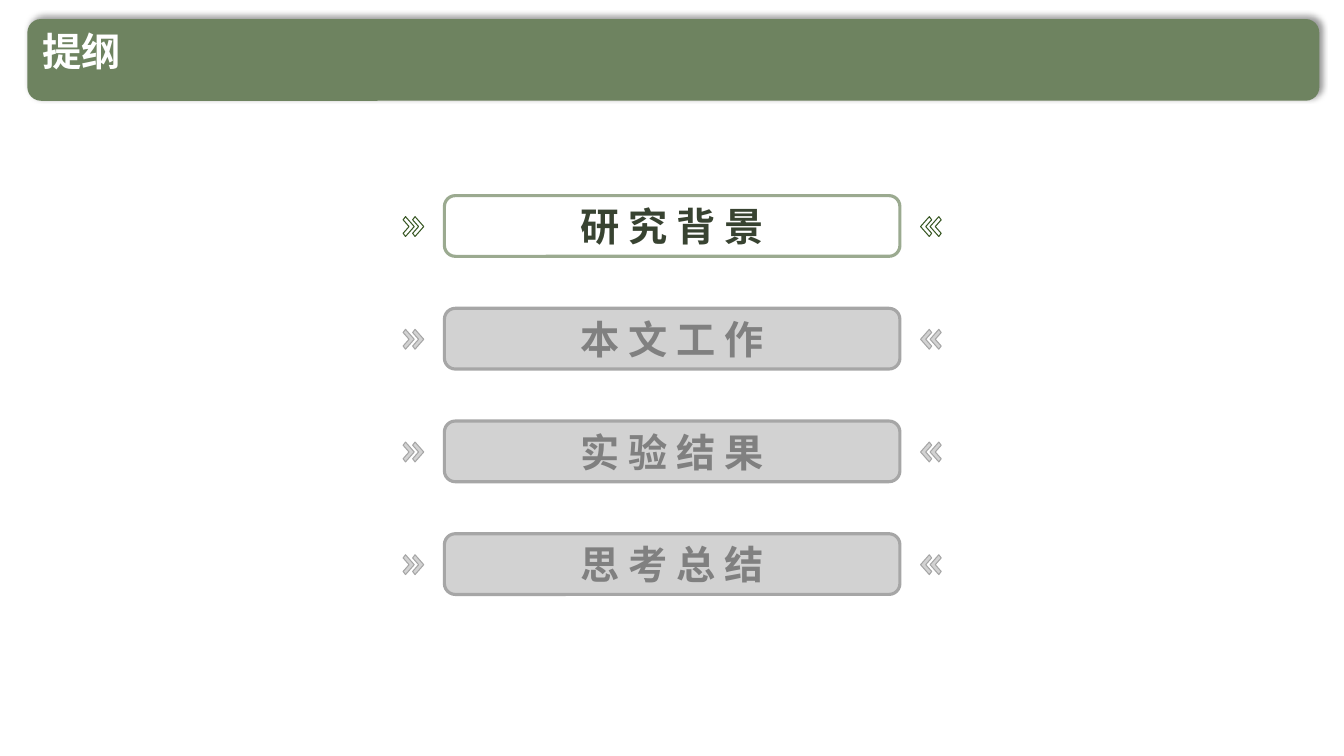
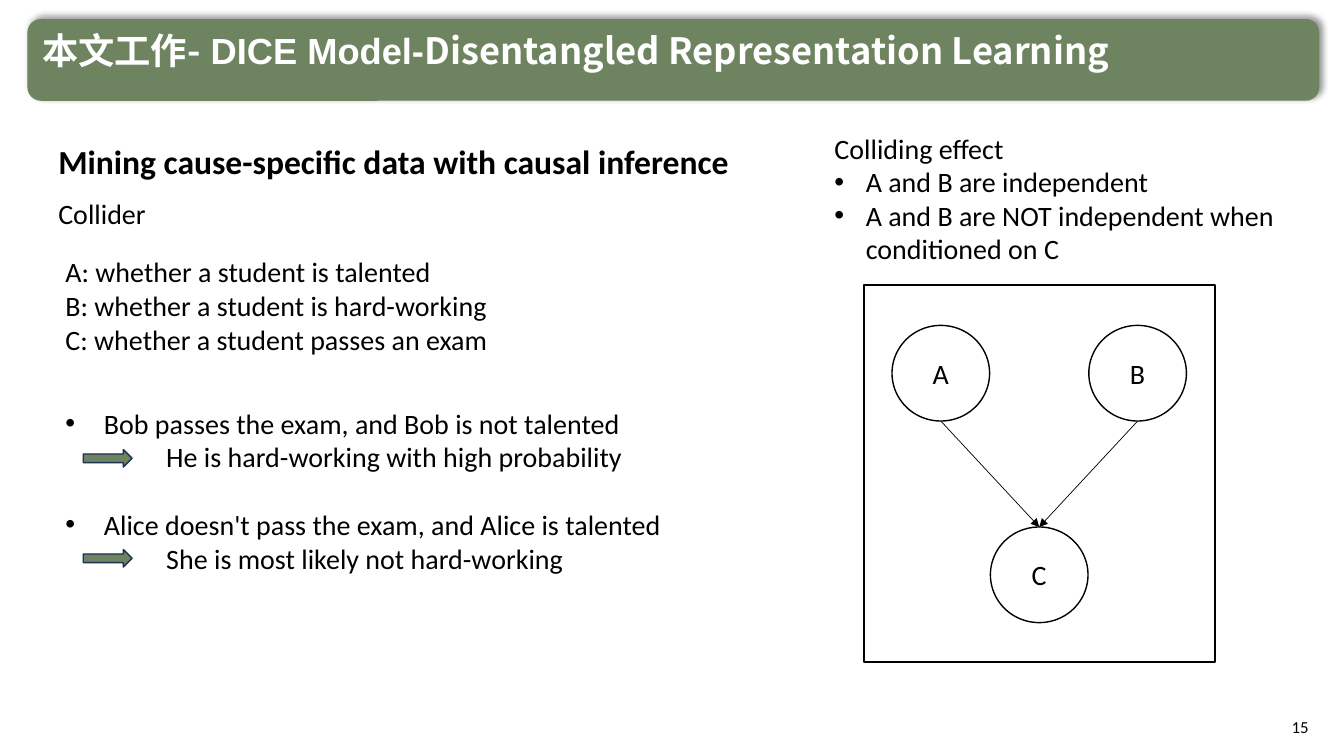
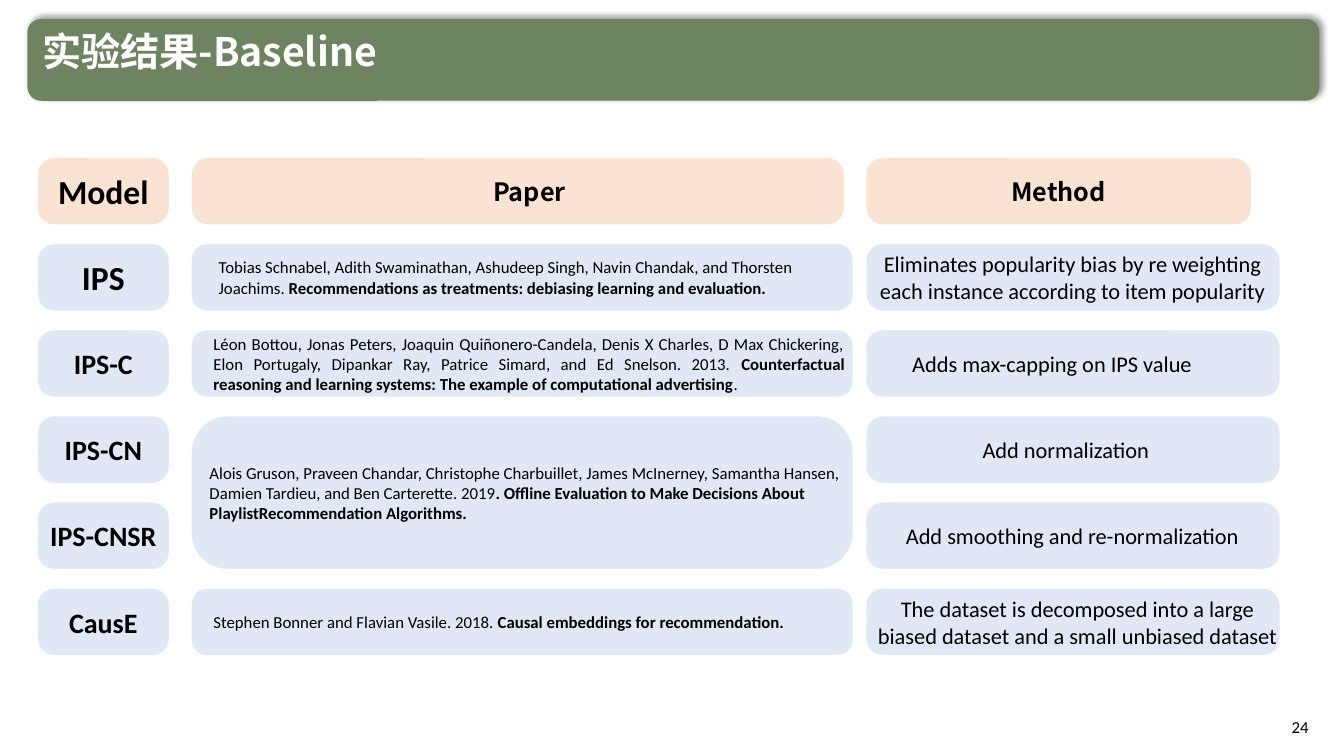
"""Build three slides: an outline, a causal collider example and a baseline overview."""
import lxml.etree
import pptx
import pptx.dml.color
import pptx.enum.shapes
import pptx.enum.text
import pptx.oxml.ns
import pptx.util

Cm = pptx.util.Cm
Pt = pptx.util.Pt
RGBColor = pptx.dml.color.RGBColor
SHAPE = pptx.enum.shapes.MSO_SHAPE
ALIGN = pptx.enum.text.PP_ALIGN
ANCHOR = pptx.enum.text.MSO_ANCHOR
qn = pptx.oxml.ns.qn

WHITE = RGBColor(0xFF, 0xFF, 0xFF)
BLACK = RGBColor(0x00, 0x00, 0x00)
GREEN = RGBColor(0x6E, 0x83, 0x60)
LIGHT_GREEN = RGBColor(0x9B, 0xAA, 0x90)
DARK_GREEN = RGBColor(0x38, 0x43, 0x31)
CHEVRON_GREEN = RGBColor(0x38, 0x57, 0x23)
GRAY = RGBColor(0xA6, 0xA6, 0xA6)
DARK_GRAY = RGBColor(0x80, 0x80, 0x80)
NAVY = RGBColor(0x1E, 0x32, 0x56)
ORANGE = RGBColor(0xF4, 0xB1, 0x83)
BLUE = RGBColor(0xB4, 0xC7, 0xE7)

CHINESE_FONT = "Noto Sans CJK SC"
HEADER_FONT = "Noto Sans CJK JP"
BODY_FONT = "Calibri"


def style_shape(shape, fill=None, line=None, width=1, opacity=100):
    """Set fill, outline and fill opacity, without a shadow."""
    shape.shadow.inherit = False
    if fill is None:
        shape.fill.background()
    else:
        shape.fill.solid()
        shape.fill.fore_color.rgb = fill
    if opacity < 100:
        color = shape.element.spPr.find(qn("a:solidFill"))[0]
        lxml.etree.SubElement(color, qn("a:alpha"), val=str(opacity * 1000))
    if line is None:
        shape.line.fill.background()
    else:
        shape.line.color.rgb = line
        shape.line.width = Pt(width)


def write_text(shape, paragraphs, size, font=BODY_FONT, color=BLACK, bold=False,
               align=ALIGN.LEFT, anchor=ANCHOR.TOP):
    """Write paragraphs, each a list of runs; every second run has the other weight."""
    frame = shape.text_frame
    frame.word_wrap = True
    frame.vertical_anchor = anchor
    for number, texts in enumerate(paragraphs):
        paragraph = frame.add_paragraph() if number else frame.paragraphs[0]
        paragraph.alignment = align
        for position, text in enumerate(texts):
            run = paragraph.add_run()
            run.text = text
            run.font.size = Pt(size)
            run.font.bold = bold != (position % 2 == 1)
            run.font.color.rgb = color
            run.font.name = font
            lxml.etree.SubElement(run.font._element, qn("a:ea"), typeface=font)
    return frame


presentation = pptx.Presentation()
presentation.slide_width = Cm(33.87)
presentation.slide_height = Cm(19.05)

slides = []
title_frames = []
for title, title_size, page in [
    (["提纲"], 28, None),
    (["本文工作-", " DICE Model-", "Disentangled Representation Learning"], 25.9, "15"),
    (["实验结果-Baseline"], 28, "24"),
]:
    slide = presentation.slides.add_slide(presentation.slide_layouts[6])
    slides.append(slide)
    band = slide.shapes.add_shape(SHAPE.ROUNDED_RECTANGLE, Cm(0.69), Cm(0.48), Cm(32.56), Cm(2.06))
    style_shape(band, GREEN)
    shadow = lxml.etree.SubElement(
        band.element.spPr.find(qn("a:effectLst")), qn("a:outerShdw"),
        blurRad=str(Pt(4)), dist=str(Pt(3)), dir="18900000", algn="bl", rotWithShape="0")
    shadow_color = lxml.etree.SubElement(shadow, qn("a:srgbClr"), val=str(BLACK))
    lxml.etree.SubElement(shadow_color, qn("a:alpha"), val="40000")
    title_box = slide.shapes.add_textbox(Cm(0.81), Cm(0.71), Cm(28.12), Cm(1.57))
    title_frame = write_text(title_box, [title], title_size, CHINESE_FONT, WHITE, True)
    title_frame.paragraphs[0].line_spacing = 0.9
    title_frames.append(title_frame)
    if page:
        page_box = slide.shapes.add_textbox(Cm(31.22), Cm(17.81), Cm(2.01), Cm(1.02))
        write_text(page_box, [[page]], 12, align=ALIGN.RIGHT, anchor=ANCHOR.MIDDLE)
outline_slide, collider_slide, baseline_slide = slides

chevron_points = [(0.06, 0), (0, 0.08), (0.15, 0.25), (0, 0.42), (0.06, 0.5), (0.28, 0.25)]
for row, topic in enumerate(["研 究 背 景", "本 文 工 作", "实 验 结 果", "思 考 总 结"]):
    top = 4.93 + 2.84 * row
    active = row == 0
    fill, opacity = (None, 100) if active else (GRAY, 50)
    for origin, direction in [(10.16, 1), (10.4, 1), (23.72, -1), (23.48, -1)]:
        points = [(Cm(origin + direction * x), Cm(top + 0.53 + y)) for x, y in chevron_points]
        builder = outline_slide.shapes.build_freeform(*points[0])
        builder.add_line_segments(points[1:])
        style_shape(builder.convert_to_shape(), fill, CHEVRON_GREEN if active else GRAY, 0.75, opacity)
    button = outline_slide.shapes.add_shape(
        SHAPE.ROUNDED_RECTANGLE, Cm(11.2), Cm(top), Cm(11.48), Cm(1.53))
    button.adjustments[0] = 0.18
    style_shape(button, fill, LIGHT_GREEN if active else GRAY, 2.25, opacity)
    write_text(button, [[topic]], 28, CHINESE_FONT, DARK_GREEN if active else DARK_GRAY,
               True, ALIGN.CENTER, ANCHOR.MIDDLE)

for run in title_frames[1].paragraphs[0].runs:
    run.font.bold = True
title_frames[1].paragraphs[0].runs[1].font.name = "Arial"

collider_frames = []
for left, top, width, height, size, bold, lines in [
    (1.22, 3.43, 19.2, 1.27, 24, True, ["Mining cause-specific data with causal inference"]),
    (1.22, 4.83, 16.94, 1.12, 20, False, ["Collider"]),
    (1.4, 6.3, 16.94, 2.82, 20, False, [
        "A: whether a student is talented",
        "B: whether a student is hard-working",
        "C: whether a student passes an exam"]),
    (20.78, 3.18, 12.14, 3.68, 20, False, [
        "Colliding effect",
        "A and B are independent",
        "A and B are NOT independent when conditioned on C"]),
    (1.4, 10.11, 16.94, 4.52, 20, False, [
        "Bob passes the exam, and Bob is not talented",
        "He is hard-working with high probability",
        "Alice doesn't pass the exam, and Alice is talented",
        "She is most likely not hard-working"]),
]:
    text_box = collider_slide.shapes.add_textbox(Cm(left), Cm(top), Cm(width), Cm(height))
    collider_frames.append(write_text(text_box, [[line] for line in lines], size, bold=bold))

effects = collider_frames[3].paragraphs
examples = collider_frames[4].paragraphs
examples[2].space_before = Pt(24.4)
for paragraph, indent in [(effects[1], 0.79), (effects[2], 0.79), (examples[0], 0.97), (examples[2], 0.97)]:
    properties = paragraph._p.get_or_add_pPr()
    properties.set("marL", str(Cm(indent)))
    properties.set("indent", str(-Cm(indent)))
    lxml.etree.SubElement(properties, qn("a:buFont"), typeface="Arial")
    lxml.etree.SubElement(properties, qn("a:buChar"), char="•")
for conclusion, arrow_top in [(examples[1], 11.33), (examples[3], 13.85)]:
    conclusion._p.get_or_add_pPr().set("marL", str(Cm(2.54)))
    arrow = collider_slide.shapes.add_shape(SHAPE.RIGHT_ARROW, Cm(2.1), Cm(arrow_top), Cm(1.23), Cm(0.44))
    style_shape(arrow, GREEN, NAVY, 1)

graph_frame = collider_slide.shapes.add_shape(SHAPE.RECTANGLE, Cm(21.77), Cm(7.19), Cm(8.84), Cm(9.5))
style_shape(graph_frame, line=BLACK, width=1.5)
for name, center, top in [("A", 23.71, 8.2), ("B", 28.67, 8.2), ("C", 26.19, 13.28)]:
    node = collider_slide.shapes.add_shape(SHAPE.OVAL, Cm(center - 1.23), Cm(top), Cm(2.46), Cm(2.41))
    style_shape(node, WHITE, BLACK, 1)
    write_text(node, [[name]], 20, align=ALIGN.CENTER, anchor=ANCHOR.MIDDLE)
for cause in (23.71, 28.67):
    edge = collider_slide.shapes.add_connector(
        pptx.enum.shapes.MSO_CONNECTOR.STRAIGHT, Cm(cause), Cm(10.61), Cm(26.19), Cm(13.28))
    edge.line.color.rgb = BLACK
    edge.line.width = Pt(0.5)
    lxml.etree.SubElement(edge.line._get_or_add_ln(), qn("a:tailEnd"), type="triangle")
    lxml.etree.SubElement(edge._element.spPr, qn("a:effectLst"))

model_column, paper_column, method_column = (0.9, 3.41), (4.78, 16.76), (21.78, 10.52)
first_top, row_pitch, row_height = 3.93, 2.17, 1.78
cells = [
    (0, 1, model_column, (0.9, 3.41), 24, BODY_FONT, ["Model"]),
    (0, 1, (4.78, 16.54), (6.78, 13.13), 18, HEADER_FONT, ["Paper"]),
    (0, 1, (21.78, 9.8), (21.78, 9.8), 18, HEADER_FONT, ["Method"]),
]
for row, (model, size) in enumerate(
        [("IPS", 24), ("IPS-C", 20), ("IPS-CN", 20), ("IPS-CNSR", 20), ("CausE", 20)], 1):
    cells.append((row, 1, model_column, model_column, size, BODY_FONT, [model]))
for row, span, text_column, citation in [
    (1, 1, (5.26, 16.28), [
        "Tobias Schnabel, Adith Swaminathan, Ashudeep Singh, Navin Chandak, and Thorsten Joachims. ",
        "Recommendations as treatments: debiasing learning and evaluation."]),
    (2, 1, (5.13, 16.41), [
        "Léon Bottou, Jonas Peters, Joaquin Quiñonero-Candela, Denis X Charles, D Max Chickering, "
        "Elon Portugaly, Dipankar Ray, Patrice Simard, and Ed Snelson. 2013. ",
        "Counterfactual reasoning and learning systems: The example of computational advertising", "."]),
    (3, 2, (5.03, 16.94), [
        "Alois Gruson, Praveen Chandar, Christophe Charbuillet, James McInerney, Samantha Hansen, "
        "Damien Tardieu, and Ben Carterette. 2019",
        ". Offline Evaluation to Make Decisions About PlaylistRecommendation Algorithms."]),
    (5, 1, (5.13, 16.94), [
        "Stephen Bonner and Flavian Vasile. 2018. ", "Causal embeddings for recommendation."]),
]:
    cells.append((row, span, paper_column, text_column, 12, BODY_FONT, citation))
for row, (text_column, method) in enumerate([
    ((21.77, 10.52), "Eliminates popularity bias by re weighting each instance according to item popularity"),
    ((21.79, 9.45), "Adds max-capping on IPS value"),
    ((22.48, 8.76), "Add normalization"),
    ((22.53, 8.99), "Add smoothing and re-normalization"),
    ((21.77, 10.77), "The dataset is decomposed into a large biased dataset and a small unbiased dataset"),
], 1):
    cells.append((row, 1, method_column, text_column, 16, BODY_FONT, [method]))

for row, span, (left, width), (text_left, text_width), size, font, texts in cells:
    top = Cm(first_top + row_pitch * row)
    height = Cm(row_height + row_pitch * (span - 1))
    is_header = row == 0
    is_citation = len(texts) > 1
    card = baseline_slide.shapes.add_shape(SHAPE.ROUNDED_RECTANGLE, Cm(left), top, Cm(width), height)
    card.adjustments[0] = 0.24 if is_citation else 0.26
    style_shape(card, ORANGE if is_header else BLUE, WHITE, 3, 35 if is_header else 40)
    align = ALIGN.CENTER
    if is_citation:
        align = ALIGN.JUSTIFY if row == 2 else ALIGN.LEFT
    text_box = baseline_slide.shapes.add_textbox(Cm(text_left), top, Cm(text_width), height)
    write_text(text_box, [texts], size, font, bold=is_header or left == model_column[0],
               align=align, anchor=ANCHOR.MIDDLE)

presentation.save("out.pptx")
